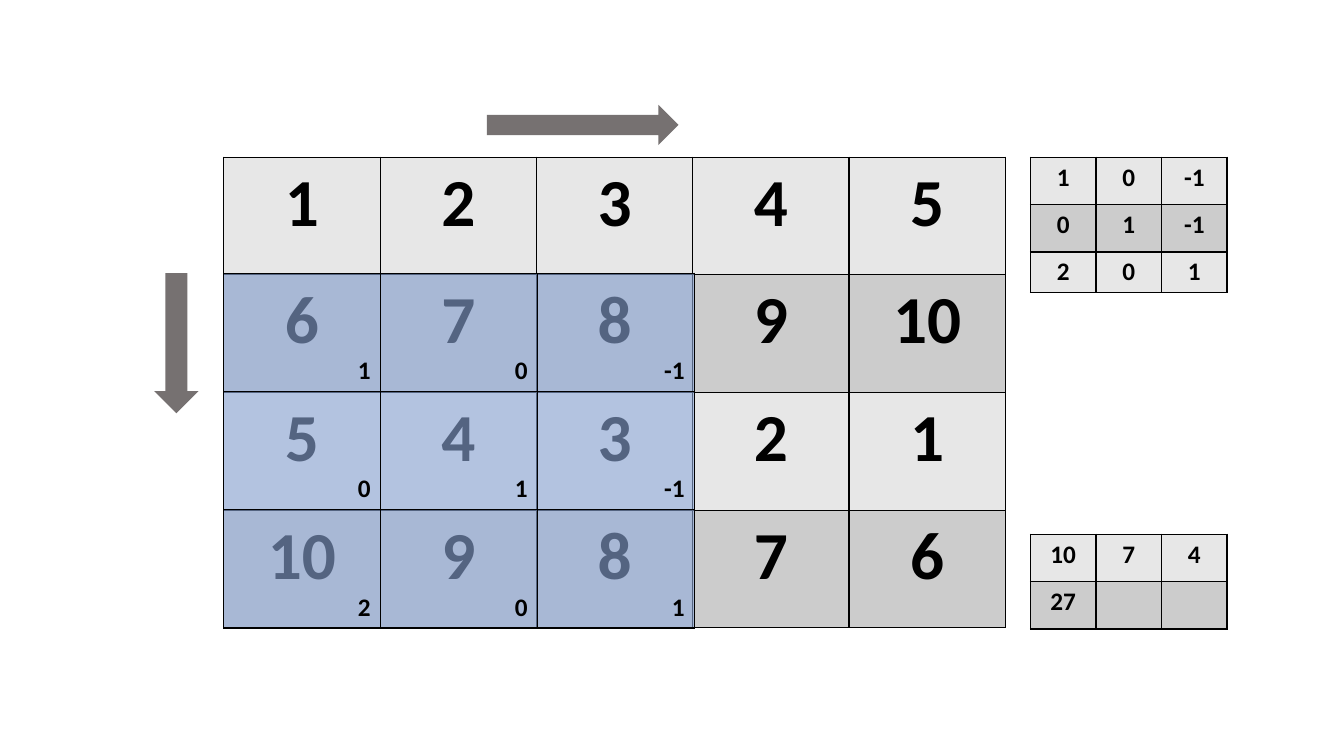
from lxml import etree
from pptx import Presentation
from pptx.dml.color import RGBColor
from pptx.enum.shapes import MSO_SHAPE
from pptx.enum.text import MSO_ANCHOR, PP_ALIGN
from pptx.oxml import parse_xml
from pptx.oxml.ns import nsdecls, qn
from pptx.util import Inches, Pt

# Content
MATRIX = [[1, 2, 3, 4, 5], [6, 7, 8, 9, 10], [5, 4, 3, 2, 1], [10, 9, 8, 7, 6]]
KERNEL = [[1, 0, -1], [0, 1, -1], [2, 0, 1]]
RESULT = [[10, 7, 4], [27, "", ""]]

BANDS = ["E7E7E7", "CCCCCC"]
WINDOW = ["8FAADC"]
BLACK, GREY = "000000", "767171"

# Shared positions
MATRIX_X, SIDE_X = 2.22, 10.22
MATRIX_Y, WINDOW_Y, RESULT_Y = 1.56, 2.71, 5.3
SIDE_COL, SIDE_ROW = 0.65, 0.47

ARROWS = [
    (MSO_SHAPE.RIGHT_ARROW, 4.83, 1.04, 1.9, 0.4),
    (MSO_SHAPE.DOWN_ARROW, 1.53, WINDOW_Y, 0.44, 1.39),
]

prs = Presentation()
prs.slide_width, prs.slide_height = Inches(13.33), Inches(7.5)
s = prs.slides.add_slide(prs.slide_layouts[6])


def paint(fill, color, opacity=100):
    fill.solid()
    fill.fore_color.rgb = RGBColor.from_string(color)
    if opacity < 100:
        clr = fill._xPr.find(qn("a:solidFill"))[0]
        etree.SubElement(clr, qn("a:alpha")).set("val", str(opacity * 1000))


def add_borders(cell):
    tcPr = cell._tc.get_or_add_tcPr()
    for i, side in enumerate("LRTB"):
        tcPr.insert(i, parse_xml(
            f'<a:ln{side} {nsdecls("a")} w="12700"><a:solidFill>'
            f'<a:srgbClr val="{BLACK}"/></a:solidFill></a:ln{side}>'))


def add_grid(values, x, y, col_w, row_hs, size=18, fills=BANDS, opacity=100,
             align=PP_ALIGN.CENTER, anchor=MSO_ANCHOR.TOP):
    n_rows, n_cols = len(values), len(values[0])
    table = s.shapes.add_table(n_rows, n_cols, Inches(x), Inches(y),
                               Inches(col_w * n_cols), Inches(sum(row_hs))).table
    table.first_row = table.horz_banding = False
    for col in table.columns:
        col.width = Inches(col_w)
    for i, row in enumerate(values):
        table.rows[i].height = Inches(row_hs[i])
        for j, value in enumerate(row):
            cell = table.cell(i, j)
            paint(cell.fill, fills[i % len(fills)], opacity)
            add_borders(cell)
            cell.vertical_anchor = anchor
            p = cell.text_frame.paragraphs[0]
            p.alignment = align
            if value == "":
                continue
            r = p.add_run()
            r.text = str(value)
            r.font.name, r.font.size, r.font.bold = "Calibri", Pt(size), True
            r.font.color.rgb = RGBColor.from_string(BLACK)


# Input matrix with the sliding window on top
add_grid(MATRIX, MATRIX_X, MATRIX_Y, 1.55, [4.67 / 4] * 4, size=48)
add_grid(KERNEL, MATRIX_X, WINDOW_Y, 4.67 / 3, [3.52 / 3] * 3, fills=WINDOW,
         opacity=59, align=PP_ALIGN.RIGHT, anchor=MSO_ANCHOR.BOTTOM)

# Arrows for the sliding directions
for kind, x, y, w, h in ARROWS:
    sp = s.shapes.add_shape(kind, Inches(x), Inches(y), Inches(w), Inches(h))
    sp.shadow.inherit = False
    paint(sp.fill, GREY)
    sp.line.fill.background()

# Kernel and result
add_grid(KERNEL, SIDE_X, MATRIX_Y, SIDE_COL, [SIDE_ROW, SIDE_ROW, 0.32])
add_grid(RESULT, SIDE_X, RESULT_Y, SIDE_COL, [SIDE_ROW] * 2)

prs.save("out.pptx")
